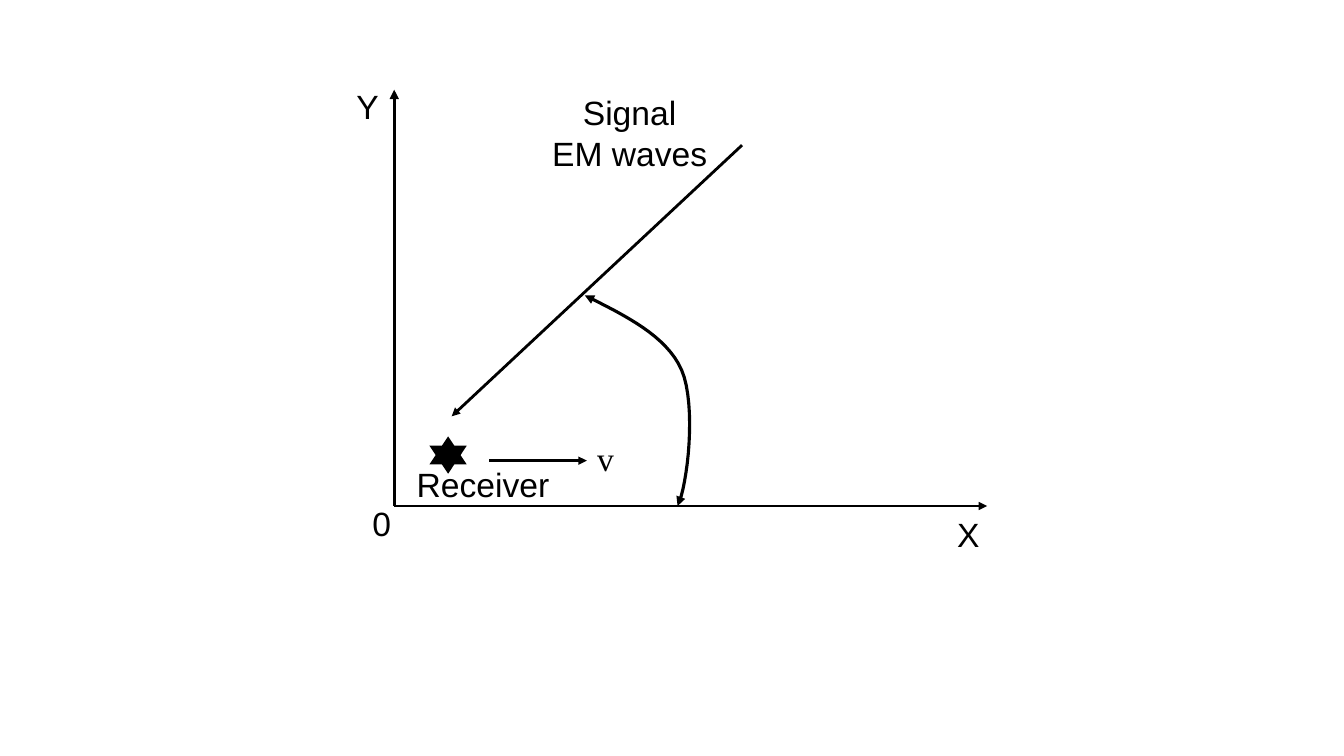
import pptx
import pptx.dml.color
import pptx.enum.shapes
import pptx.enum.text
import pptx.util
from lxml import etree
from pptx.oxml.ns import qn

Inches = pptx.util.Inches
BLACK = pptx.dml.color.RGBColor(0x00, 0x00, 0x00)

# Offsets in inches from the top left of the diagram
ORIGIN = (0.45, 4.13)
ARROWS = {  # part: start, end, line width
    "y axis": (ORIGIN, (0.45, 0), 2.25),
    "x axis": (ORIGIN, (6.33, 4.13), 2),
    "velocity": ((1.39, 3.68), (2.36, 3.68), 2),
    "signal": ((3.9, 0.55), (1.02, 3.24), 2),
}
LABELS = [  # text, left, top, width, height, font
    ("Y", 0, 0, 0.37, 0.33, "Arial"),
    ("X", 5.96, 4.24, 0.37, 0.33, "Arial"),
    ("0", 0.14, 4.13, 0.37, 0.33, "Arial"),
    ("v", 2.36, 3.49, 0.37, 0.33, "Times New Roman"),
    ("Receiver", 0.51, 3.75, 1.64, 0.33, "Arial"),
    ("Signal\nEM waves", 1.87, 0, 1.83, 0.85, "Arial"),
]
ANGLE_ARC = [  # two cubic curves that share their middle point
    [(2.34, 2.04), (2.74, 2.24), (3.15, 2.44), (3.3, 2.78)],
    [(3.3, 2.78), (3.45, 3.13), (3.36, 3.93), (3.26, 4.13)],
]
CURVE_STEPS = 16


def style_line(shape, width, ends):
    shape.line.color.rgb = BLACK
    shape.line.width = pptx.util.Pt(width)
    for end in ends:
        etree.SubElement(shape.line._get_or_add_ln(), qn("a:" + end), type="triangle")


def add_arrow(slide, start, end, width):
    arrow = slide.shapes.add_connector(
        pptx.enum.shapes.MSO_CONNECTOR.STRAIGHT, *start, *end)
    style_line(arrow, width, ["tailEnd"])
    etree.SubElement(arrow._element.spPr, qn("a:effectLst"))


def add_label(slide, text, left, top, width, height, font):
    label = slide.shapes.add_textbox(left, top, width, height)
    frame_format = {
        "word_wrap": True,
        "vertical_anchor": pptx.enum.text.MSO_ANCHOR.MIDDLE,
        "margin_left": 0, "margin_right": 0, "margin_top": 0, "margin_bottom": 0,
    }
    for name, value in frame_format.items():
        setattr(label.text_frame, name, value)
    label.text_frame.text = text
    for paragraph in label.text_frame.paragraphs:
        paragraph.alignment = pptx.enum.text.PP_ALIGN.CENTER
        for name, value in {"name": font, "size": pptx.util.Pt(24)}.items():
            setattr(paragraph.font, name, value)
        paragraph.font.color.rgb = BLACK


def curve_point(curve, t):
    weights = ((1 - t) ** 3, 3 * t * (1 - t) ** 2, 3 * t ** 2 * (1 - t), t ** 3)
    return tuple(sum(w * point[axis] for w, point in zip(weights, curve))
                 for axis in (0, 1))


def add_diagram(slide, left, top):
    def place(point):
        return left + Inches(point[0]), top + Inches(point[1])

    # Axes, velocity and incoming signal
    for start, end, width in ARROWS.values():
        add_arrow(slide, place(start), place(end), width)

    # Receiver
    receiver = slide.shapes.add_shape(
        pptx.enum.shapes.MSO_SHAPE.STAR_6_POINT,
        *place((0.8, 3.44)), Inches(0.37), Inches(0.37))
    receiver.shadow.inherit = False
    receiver.fill.solid()
    receiver.fill.fore_color.rgb = BLACK
    receiver.line.fill.background()

    # Angle between the signal and the x axis
    points = [place(curve_point(curve, step / CURVE_STEPS))
              for curve in ANGLE_ARC for step in range(1, CURVE_STEPS + 1)]
    builder = slide.shapes.build_freeform(*place(ANGLE_ARC[0][0]))
    builder.add_line_segments(points, close=False)
    angle = builder.convert_to_shape()
    angle.shadow.inherit = False
    angle.fill.background()
    style_line(angle, 2.25, ["headEnd", "tailEnd"])

    # Labels
    for text, x, y, width, height, font in LABELS:
        add_label(slide, text, *place((x, y)), Inches(width), Inches(height), font)


def main():
    deck = pptx.Presentation()
    deck.slide_width = Inches(13.33)
    deck.slide_height = Inches(7.5)
    slide = deck.slides.add_slide(deck.slide_layouts[6])
    add_diagram(slide, Inches(3.46), Inches(0.89))
    deck.save("out.pptx")


if __name__ == "__main__":
    main()
